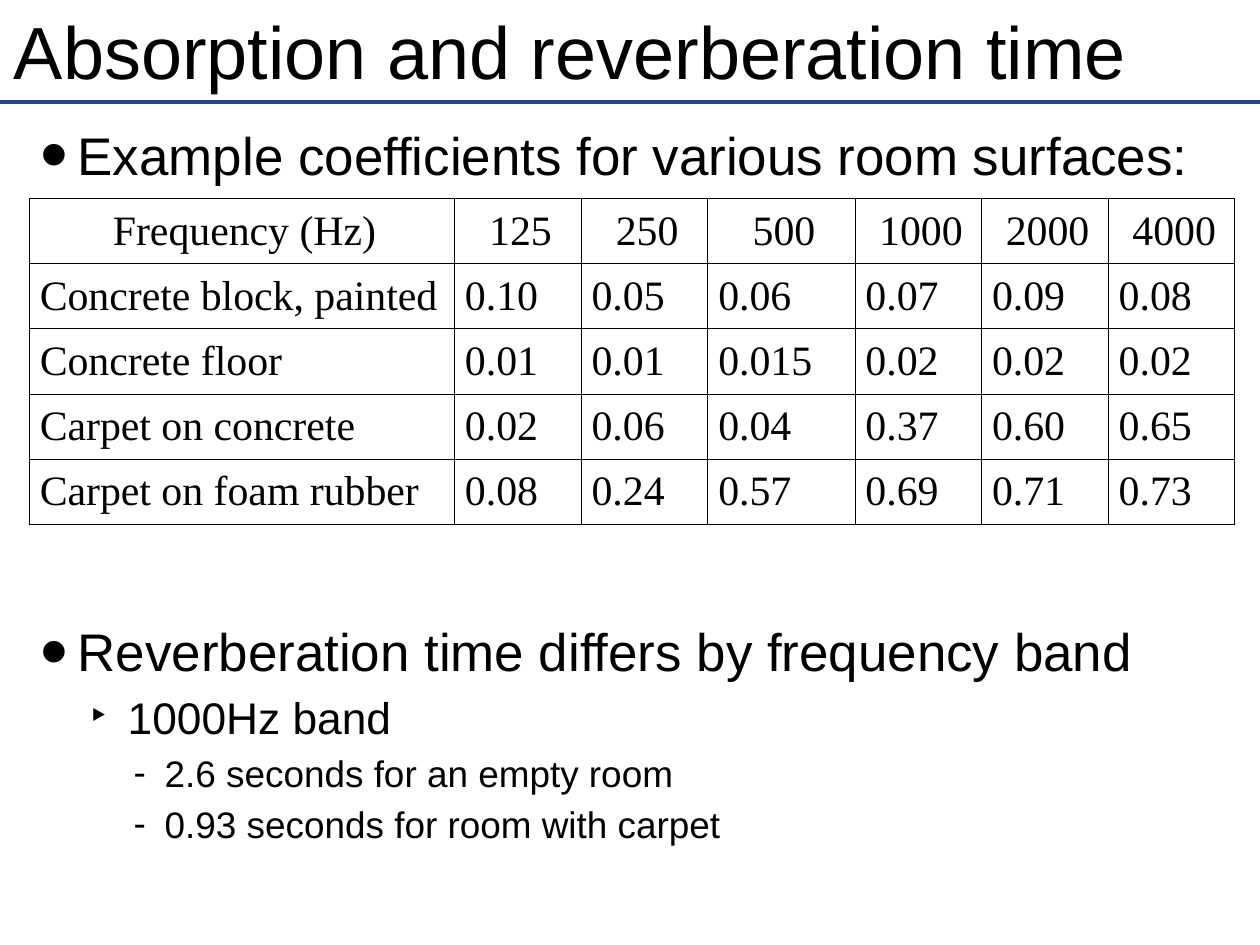
from lxml import etree
from pptx import Presentation
from pptx.dml.color import RGBColor
from pptx.enum.shapes import MSO_CONNECTOR
from pptx.enum.text import MSO_ANCHOR, MSO_AUTO_SIZE, PP_ALIGN
from pptx.oxml.ns import qn
from pptx.util import Cm, Pt

BLACK = RGBColor(0x00, 0x00, 0x00)
BLUE = RGBColor(0x25, 0x47, 0x89)
MIDDLE, TOP = MSO_ANCHOR.MIDDLE, MSO_ANCHOR.TOP
LEFT, CENTER = PP_ALIGN.LEFT, PP_ALIGN.CENTER
STRAIGHT = MSO_CONNECTOR.STRAIGHT
NO_FIT = MSO_AUTO_SIZE.NONE

LEVELS = [
    {"size": 43, "margin": 1.75, "hang": 1.07, "char": "•", "percent": 150},
    {"size": 36, "margin": 3.18, "hang": 1.07, "char": "‣", "percent": 100},
    {"size": 30, "margin": 4.24, "hang": 0.89, "char": "-", "percent": 100},
]
COLUMNS = [12.19, 3.63, 3.63, 4.22, 3.63, 3.63, 3.63]
ROW_HEIGHT = 1.87
COEFFICIENTS = [
    ["Frequency (Hz)", "125", "250", "500", "1000", "2000", "4000"],
    ["Concrete block, painted", "0.10", "0.05", "0.06", "0.07", "0.09", "0.08"],
    ["Concrete floor", "0.01", "0.01", "0.015", "0.02", "0.02", "0.02"],
    ["Carpet on concrete", "0.02", "0.06", "0.04", "0.37", "0.60", "0.65"],
    ["Carpet on foam rubber", "0.08", "0.24", "0.57", "0.69", "0.71", "0.73"],
]


class Deck:
    """Holds the text style and the current slide."""

    font, table_font = "Arial", "Times New Roman"
    color, accent = BLACK, BLUE
    inset = Cm(0.15)

    def __init__(self, width, height):
        self.prs = Presentation()
        self.prs.slide_width, self.prs.slide_height = Cm(width), Cm(height)
        self.s = self.prs.slides.add_slide(self.prs.slide_layouts[5])

    def style(self, p, size, font):
        for r in p.runs:
            r.font.name, r.font.size = font, Pt(size)
            r.font.color.rgb = self.color

    def frame(self, tf, anchor):
        tf.word_wrap, tf.auto_size, tf.vertical_anchor = True, NO_FIT, anchor
        tf.margin_left = tf.margin_right = self.inset
        tf.margin_top = tf.margin_bottom = self.inset

    def title(self, text, left, top, width, height):
        sp = self.s.shapes.title
        sp.left, sp.top, sp.width, sp.height = map(Cm, (left, top, width, height))
        tf = sp.text_frame
        self.frame(tf, MIDDLE)
        tf.text = text
        tf.paragraphs[0].alignment = LEFT
        self.style(tf.paragraphs[0], 60, self.font)

    def rule(self, y):
        line = self.s.shapes.add_connector(STRAIGHT, 0, Cm(y), self.prs.slide_width, Cm(y))
        line.line.color.rgb, line.line.width = self.accent, Pt(3)
        etree.SubElement(line._element.spPr, qn("a:effectLst"))

    def bullets(self, items, left, top, width, height):
        sp = self.s.shapes.add_textbox(*map(Cm, (left, top, width, height)))
        tf = sp.text_frame
        self.frame(tf, TOP)
        tf.text = "\n".join(text for _, text in items)
        for i, (p, (level, _)) in enumerate(zip(tf.paragraphs, items)):
            look = LEVELS[level]
            p.level = level
            pPr = p._p.get_or_add_pPr()
            pPr.set("marL", str(Cm(look["margin"])))
            pPr.set("indent", str(-Cm(look["hang"])))
            etree.SubElement(pPr, qn("a:buSzPct"), val=str(look["percent"] * 1000))
            etree.SubElement(pPr, qn("a:buFont"), typeface=self.font)
            etree.SubElement(pPr, qn("a:buChar"), char=look["char"])
            if i:
                p.space_before = Pt(6)
            self.style(p, look["size"], self.font)

    def border(self, cell):
        tcPr = cell._tc.get_or_add_tcPr()
        for side in ("lnL", "lnR", "lnT", "lnB"):
            ln = etree.SubElement(tcPr, qn("a:" + side), w=str(Pt(0.75)))
            fill = etree.SubElement(ln, qn("a:solidFill"))
            etree.SubElement(fill, qn("a:srgbClr"), val=str(self.color))

    def table(self, rows, columns, row_height, left, top):
        size = map(Cm, (left, top, sum(columns), row_height * len(rows)))
        table = self.s.shapes.add_table(len(rows), len(columns), *size).table
        table.first_row = table.horz_banding = False
        for column, width in zip(table.columns, columns):
            column.width = Cm(width)
        for i, values in enumerate(rows):
            table.rows[i].height = Cm(row_height)
            for j, value in enumerate(values):
                cell = table.cell(i, j)
                cell.margin_left = cell.margin_right = self.inset
                cell.margin_top = cell.margin_bottom = self.inset
                cell.vertical_anchor = MIDDLE
                self.border(cell)
                cell.fill.background()
                cell.text = value
                p = cell.text_frame.paragraphs[0]
                p.alignment = LEFT if i else CENTER
                p._p.get_or_add_pPr().set("marL", str(self.inset))
                self.style(p, 34, self.table_font)


def main():
    deck = Deck(36.12, 27.1)
    deck.rule(2.92)
    deck.title("Absorption and reverberation time", 0.25, 0.15, 35.59, 2.57)
    deck.bullets([(0, "Example coefficients for various room surfaces:")],
                 0.33, 3.36, 35.59, 2.2)
    deck.table(COEFFICIENTS, COLUMNS, ROW_HEIGHT, 0.84, 5.69)
    deck.bullets([
        (0, "Reverberation time differs by frequency band"),
        (1, "1000Hz band"),
        (2, "2.6 seconds for an empty room"),
        (2, "0.93 seconds for room with carpet"),
    ], 0.33, 17.6, 35.59, 9.3)
    deck.prs.save("out.pptx")


if __name__ == "__main__":
    main()
